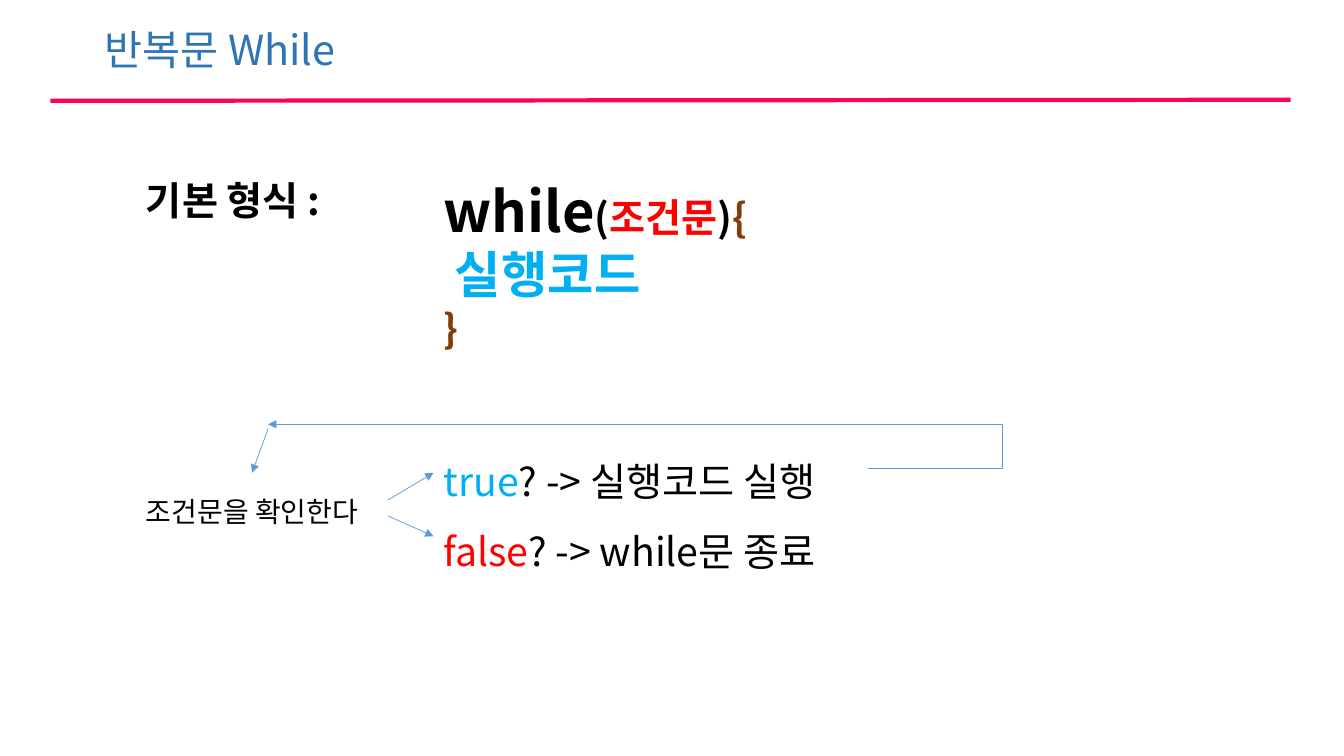
"""Build a slide that explains the while loop and its flow."""
from dataclasses import dataclass

from lxml import etree
from pptx import Presentation
from pptx import util as u
from pptx.dml import color
from pptx.enum import shapes, text
from pptx.oxml import ns

FONT = "Noto Sans CJK KR"
COLORS = {
    "title": "2E75B6",
    "rule": "FD0059",
    "arrow": "5B9BD5",
    "black": "000000",
    "red": "FF0000",
    "brown": "843C0B",
    "sky": "00B0F0",
}


@dataclass(frozen=True)
class Run:
    words: str
    size: float = 28
    color: str = "black"
    bold: bool = False


@dataclass(frozen=True)
class Line:
    start: tuple[float, float]
    end: tuple[float, float]
    color: str = "arrow"
    width: float = 0.5
    arrow: bool = True
    bend: float | None = None


LINES = [
    Line((0.5, 1), (12.8, 0.99), color="rule", width=3, arrow=False),
    Line((3.85, 4.96), (4.3, 4.69)),
    Line((3.85, 5.12), (4.3, 5.32)),
    Line((8.61, 4.65), (2.66, 4.21), bend=-0.224),
    Line((2.66, 4.25), (2.5, 4.69)),
]


def add_text(slide, paragraphs: list[list[Run]], *, left: float, top: float,
             width: float, height: float, spacing: float | None = None,
             align: text.PP_ALIGN = text.PP_ALIGN.LEFT) -> None:
    box = slide.shapes.add_textbox(*map(u.Inches, (left, top, width, height)))
    frame = box.text_frame
    frame.word_wrap = True
    frame.auto_size = text.MSO_AUTO_SIZE.SHAPE_TO_FIT_TEXT
    for index, runs in enumerate(paragraphs):
        paragraph = frame.add_paragraph() if index else frame.paragraphs[0]
        paragraph.alignment = align
        paragraph.line_spacing = spacing
        for part in runs:
            run = paragraph.add_run()
            run.text = part.words
            run.font.name = FONT
            run.font.size = u.Pt(part.size)
            run.font.bold = part.bold
            run.font.color.rgb = color.RGBColor.from_string(COLORS[part.color])
            east_asian = etree.SubElement(run.font._element, ns.qn("a:ea"))
            east_asian.set("typeface", FONT)


def add_line(slide, line: Line) -> None:
    kind = shapes.MSO_CONNECTOR.STRAIGHT if line.bend is None else shapes.MSO_CONNECTOR.ELBOW
    connector = slide.shapes.add_connector(
        kind, *map(u.Inches, (*line.start, *line.end)))
    connector.line.color.rgb = color.RGBColor.from_string(COLORS[line.color])
    connector.line.width = u.Pt(line.width)
    properties = connector._element.spPr
    if line.arrow:
        outline = properties.find(ns.qn("a:ln"))
        etree.SubElement(outline, ns.qn("a:tailEnd")).set("type", "triangle")
    if line.bend is not None:
        adjustments = properties.find(".//" + ns.qn("a:avLst"))
        guide = etree.SubElement(adjustments, ns.qn("a:gd"))
        guide.set("name", "adj1")
        guide.set("fmla", f"val {round(line.bend * 100000)}")
    etree.SubElement(properties, ns.qn("a:effectLst"))


def main() -> None:
    presentation = Presentation()
    presentation.slide_width = u.Inches(13.33)
    presentation.slide_height = u.Inches(7.5)
    slide = presentation.slides.add_slide(presentation.slide_layouts[6])

    add_text(slide, [[Run("반복문 While", 29.5, "title")]],
             left=0.94, top=0.19, width=8.97, height=0.6)
    add_text(slide, [
        [Run("while", 40, bold=True), Run("(", bold=True),
         Run("조건문", color="red", bold=True), Run(")", bold=True),
         Run("{", color="brown", bold=True)],
        [Run(" 실행코드", 36, "sky", True)],
        [Run("}", color="brown", bold=True)],
    ], left=4.3, top=1.7, width=4.12, height=1.85)
    add_text(slide, [[Run("기본 형식 :", bold=True)]],
             left=1.35, top=1.7, width=2.67, height=0.57)
    add_text(slide, [[Run("조건문을 확인한다", 20)]],
             left=-0.68, top=4.69, width=6.36, height=0.54,
             spacing=1.5, align=text.PP_ALIGN.CENTER)
    add_text(slide, [
        [Run("true", color="sky"), Run("? -> 실행코드 실행")],
        [Run("false", color="red"), Run("? -> while문 종료")],
    ], left=4.3, top=4.25, width=7.33, height=1.51, spacing=1.5)

    for line in LINES:
        add_line(slide, line)

    presentation.save("out.pptx")


if __name__ == "__main__":
    main()
